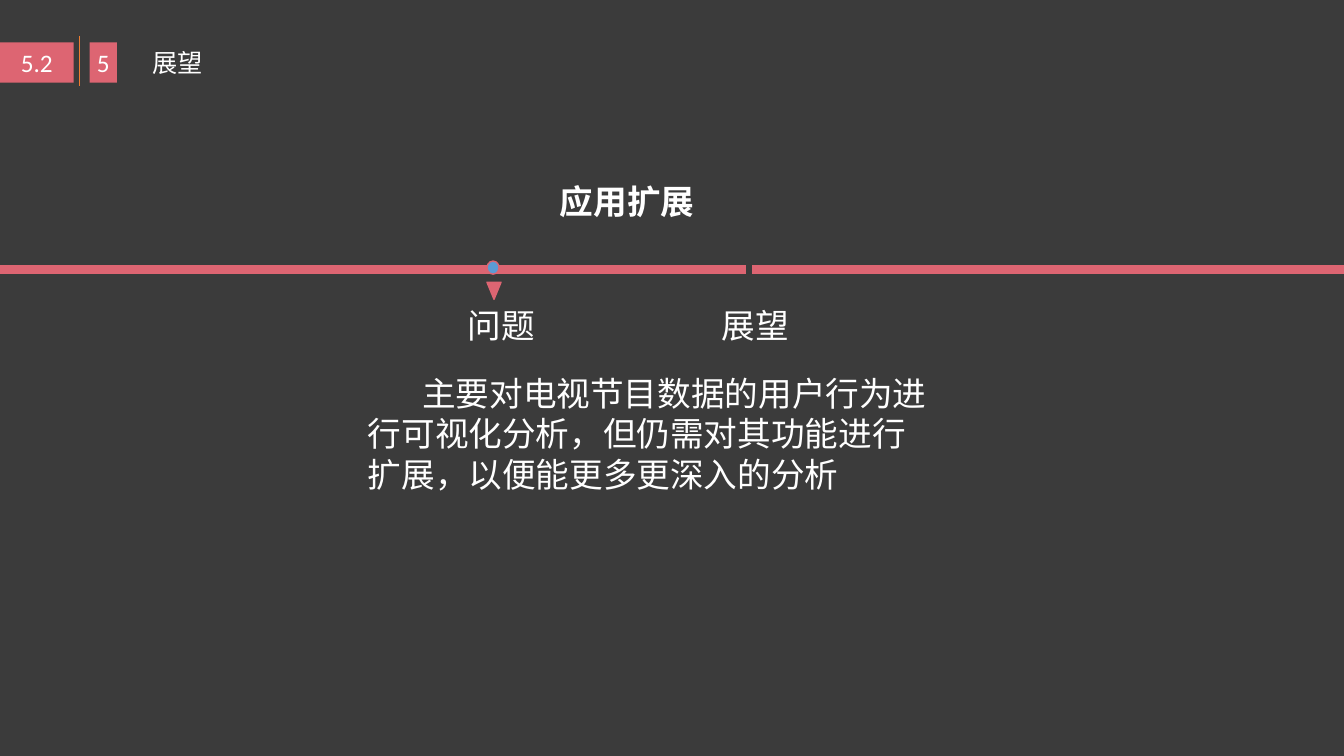
import pptx
import pptx.dml.color
import pptx.enum.shapes
import pptx.enum.text
import pptx.oxml.ns
import pptx.util
from lxml import etree

Inches = pptx.util.Inches
Pt = pptx.util.Pt
RGBColor = pptx.dml.color.RGBColor
MSO_SHAPE = pptx.enum.shapes.MSO_SHAPE
PP_ALIGN = pptx.enum.text.PP_ALIGN
MSO_ANCHOR = pptx.enum.text.MSO_ANCHOR
MSO_AUTO_SIZE = pptx.enum.text.MSO_AUTO_SIZE

COLORS = {
    "background": "3B3B3B",
    "accent": "DD6572",
    "divider": "ED7D31",
    "dot": "5B9BD5",
    "text": "FFFFFF",
}

presentation = pptx.Presentation()
presentation.slide_width = Inches(13.33)
presentation.slide_height = Inches(7.5)
slide = presentation.slides.add_slide(presentation.slide_layouts[5])
slide.background.fill.solid()
slide.background.fill.fore_color.rgb = RGBColor.from_string(COLORS["background"])


def write_text(shape, text, size, font="Calibri", align=PP_ALIGN.LEFT,
               anchor=MSO_ANCHOR.TOP, wrap=True, bold=False):
    frame = shape.text_frame
    frame.text = text
    frame.word_wrap = wrap
    frame.auto_size = MSO_AUTO_SIZE.NONE
    frame.vertical_anchor = anchor
    paragraph = frame.paragraphs[0]
    paragraph.alignment = align
    paragraph.font.name = font
    paragraph.font.size = Pt(size)
    paragraph.font.bold = bold
    paragraph.font.color.rgb = RGBColor.from_string(COLORS["text"])
    return paragraph


def add_line(x1, y1, x2, y2, color, width):
    line = slide.shapes.add_connector(
        pptx.enum.shapes.MSO_CONNECTOR.STRAIGHT,
        Inches(x1), Inches(y1), Inches(x2), Inches(y2))
    line.line.color.rgb = RGBColor.from_string(COLORS[color])
    line.line.width = Pt(width)
    etree.SubElement(line._element.spPr, pptx.oxml.ns.qn("a:effectLst"))


# Header: section numbers, divider and title
for number, left, width in [("5.2", 0, 0.73), ("5", 0.89, 0.27)]:
    badge = slide.shapes.add_shape(
        MSO_SHAPE.RECTANGLE, Inches(left), Inches(0.42), Inches(width), Inches(0.4))
    badge.shadow.inherit = False
    badge.fill.solid()
    badge.fill.fore_color.rgb = RGBColor.from_string(COLORS["accent"])
    badge.line.fill.background()
    write_text(badge, number, 18, align=PP_ALIGN.CENTER,
               anchor=MSO_ANCHOR.MIDDLE, wrap=False)
add_line(0.79, 0.36, 0.79, 0.85, "divider", 0.5)

title = slide.shapes.title
title.left, title.top = Inches(1.41), Inches(0.42)
title.width, title.height = Inches(0.71), Inches(0.4)
write_text(title, "展望", 18, wrap=False)

# Heading and body
heading = slide.shapes.add_textbox(Inches(1.41), Inches(1.75), Inches(9.62), Inches(0.53))
write_text(heading, "应用扩展", 24, "Noto Sans CJK SC", PP_ALIGN.CENTER, bold=True)

body = slide.shapes.add_textbox(Inches(3.55), Inches(3.65), Inches(5.78), Inches(1.3))
body_paragraph = write_text(
    body,
    "主要对电视节目数据的用户行为进行可视化分析，但仍需对其功能进行扩展，以便能更多更深入的分析",
    24, "Arial")
body_paragraph._p.get_or_add_pPr().set("indent", str(Inches(0.54)))

# Timeline with its labels and marker
for start, end in [(0, 4.91), (4.91, 7.4), (7.46, 13.33)]:
    add_line(start, 2.67, end, 2.67, "accent", 6.59)

for label, left in [("问题", 4.54), ("展望", 7.06)]:
    label_box = slide.shapes.add_textbox(Inches(left), Inches(2.98), Inches(0.87), Inches(0.5))
    write_text(label_box, label, 24, wrap=False)

for kind, top, width, height, color in [
    (MSO_SHAPE.FLOWCHART_MERGE, 2.8, 0.14, 0.17, "accent"),
    (MSO_SHAPE.OVAL, 2.59, 0.12, 0.13, "dot"),
]:
    marker = slide.shapes.add_shape(
        kind, Inches(4.83), Inches(top), Inches(width), Inches(height))
    marker.shadow.inherit = False
    marker.fill.solid()
    marker.fill.fore_color.rgb = RGBColor.from_string(COLORS[color])
    marker.line.color.rgb = RGBColor.from_string(COLORS["accent"])
    marker.line.width = Pt(1)

presentation.save("out.pptx")
